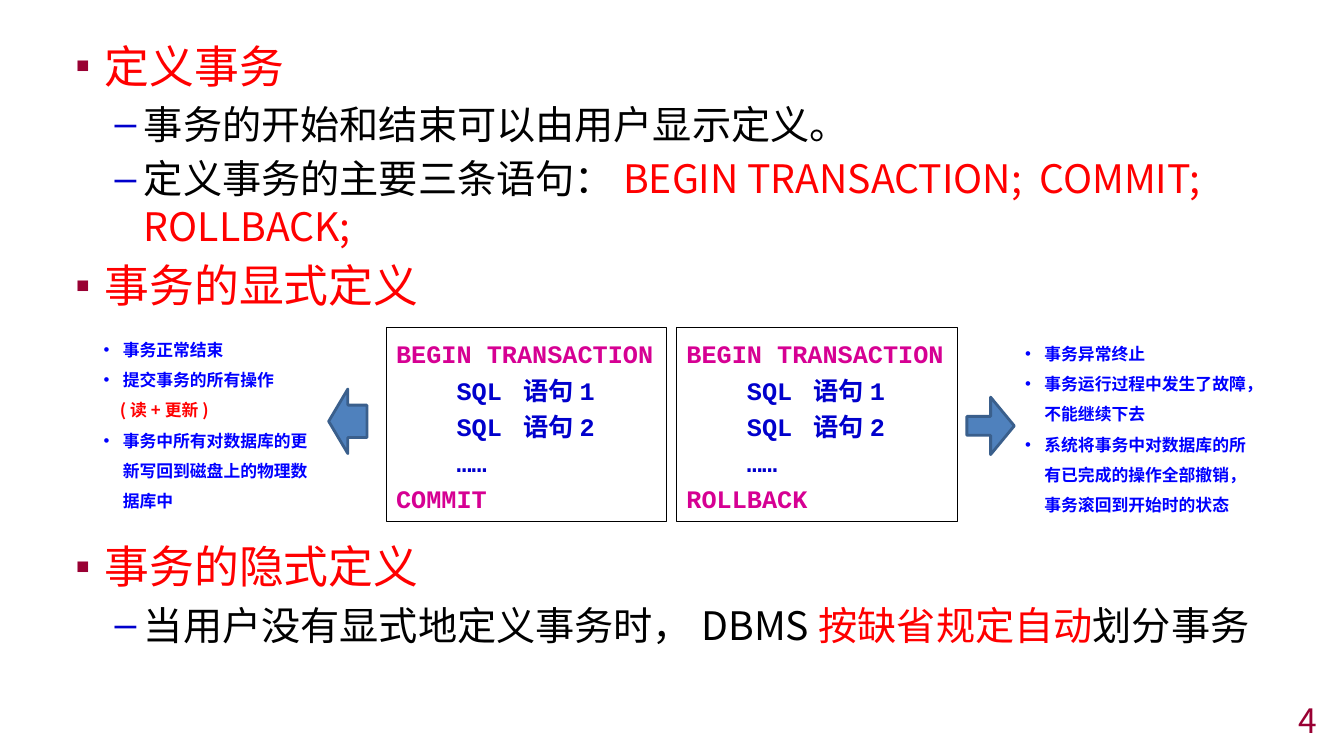
from lxml.etree import SubElement
from pptx import Presentation
from pptx.dml.color import RGBColor
from pptx.enum.shapes import MSO_SHAPE as Shape
from pptx.enum.text import MSO_ANCHOR as Anchor, PP_ALIGN as Align
from pptx.oxml.ns import qn
from pptx.util import Inches, Pt

SANS, MONO = "Noto Sans CJK SC", "Courier New"
RED, BLACK, BLUE, NAVY = "FF0000", "000000", "0000FF", "0000CC"
MAROON, MAGENTA = "990033", "D60093"


def rgb(value):
    return RGBColor.from_string(value)


class SlideBuilder:
    """Holds the fonts and the slide, and adds each kind of element."""

    def __init__(self, slide):
        self.slide = slide

    def text_box(self, left, top, width, height, anchor=Anchor.TOP):
        box = self.slide.shapes.add_textbox(
            Inches(left), Inches(top), Inches(width), Inches(height))
        box.text_frame.word_wrap = True
        box.text_frame.vertical_anchor = anchor
        return box.text_frame

    def paragraph(self, frame, runs, size, font=SANS, bold=False, bullet=None,
                  bullet_color=None, bullet_size=None, margin=0, hanging=0,
                  before=0, spacing=None, align=Align.LEFT):
        """Add one paragraph; runs is a list of (text, color)."""
        first = not frame.paragraphs[0].runs
        paragraph = frame.paragraphs[0] if first else frame.add_paragraph()
        paragraph.alignment = align
        if spacing:
            paragraph.line_spacing = spacing
        if before and not first:
            paragraph.space_before = Pt(before)

        properties = paragraph._p.get_or_add_pPr()
        properties.set("marL", str(Inches(margin)))
        properties.set("indent", str(-Inches(hanging)))
        if bullet:
            if bullet_color:
                color = SubElement(properties, qn("a:buClr"))
                SubElement(color, qn("a:srgbClr"), val=bullet_color)
            if bullet_size:
                SubElement(properties, qn("a:buSzPct"), val=str(bullet_size * 1000))
            SubElement(properties, qn("a:buFont"), typeface="Arial")
            SubElement(properties, qn("a:buChar"), char=bullet)

        paragraph.font.size = Pt(size)
        paragraph.font.name = font
        paragraph.font.bold = bold
        SubElement(properties.find(qn("a:defRPr")), qn("a:ea"), typeface=SANS)
        if len(runs) == 1:
            paragraph.font.color.rgb = rgb(runs[0][1])
        for text, color in runs:
            run = paragraph.add_run()
            run.text = text
            if len(runs) > 1:
                run.font.color.rgb = rgb(color)

    def heading(self, frame, text):
        self.paragraph(frame, [(text, RED)], 32, bullet="▪", bullet_color=MAROON,
                       bullet_size=95, margin=0.29, hanging=0.29, before=6.4)

    def point(self, frame, *runs):
        self.paragraph(frame, runs, 28, bullet="–", bullet_color=NAVY,
                       margin=0.68, hanging=0.29, before=5.6)

    def note(self, frame, text):
        self.paragraph(frame, [(text, BLUE)], 12, bold=True, bullet="•",
                       margin=0.19, hanging=0.19, spacing=1.5)

    def shape(self, kind, left, top, width, height, line, line_width, fill=None):
        shape = self.slide.shapes.add_shape(
            kind, Inches(left), Inches(top), Inches(width), Inches(height))
        shape.shadow.inherit = False
        if fill:
            shape.fill.solid()
            shape.fill.fore_color.rgb = rgb(fill)
        else:
            shape.fill.background()
        shape.line.color.rgb = rgb(line)
        shape.line.width = Pt(line_width)
        return shape

    def arrow(self, kind, left, top, width, height):
        return self.shape(kind, left, top, width, height, "3A5F8C", 2, "4F81BD")

    def code_box(self, left, last_statement):
        box = self.shape(Shape.RECTANGLE, left, 3.25, 2.78, 1.92, BLACK, 0.25)
        frame = box.text_frame
        frame.word_wrap = True
        frame.vertical_anchor = Anchor.TOP
        body = ["    SQL 语句1", "    SQL 语句2", "    ……"]
        for text in ["BEGIN TRANSACTION", *body, last_statement]:
            color = NAVY if text in body else MAGENTA
            self.paragraph(frame, [(text, color)], 18, MONO, True, spacing=1.2)


def main():
    presentation = Presentation()
    presentation.slide_width = Inches(13.33)
    presentation.slide_height = Inches(7.5)
    builder = SlideBuilder(
        presentation.slides.add_slide(presentation.slide_layouts[6]))

    # Definition of transactions
    definition = builder.text_box(0.65, 0.33, 12.27, 2.85)
    builder.heading(definition, "定义事务")
    builder.point(definition, ("事务的开始和结束可以由用户显示定义。", BLACK))
    builder.point(definition, ("定义事务的主要三条语句：", BLACK),
                  ("BEGIN TRANSACTION;  COMMIT;  ROLLBACK;", RED))
    builder.heading(definition, "事务的显式定义")

    # Implicit definition
    implicit = builder.text_box(0.65, 5.3, 12.27, 1.5)
    builder.heading(implicit, "事务的隐式定义")
    builder.point(implicit, ("当用户没有显式地定义事务时，DBMS", BLACK),
                  ("按缺省规定自动", RED), ("划分事务", BLACK))

    # Explicit transactions
    builder.code_box(3.83, "COMMIT")
    builder.code_box(6.71, "ROLLBACK")

    # Normal end
    commit = builder.text_box(0.93, 3.22, 2.34, 1.92)
    builder.note(commit, "事务正常结束")
    builder.note(commit, "提交事务的所有操作")
    builder.paragraph(commit, [("(读+更新)", RED)], 12, bold=True,
                      margin=0.16, spacing=1.5)
    builder.note(commit, "事务中所有对数据库的更新写回到磁盘上的物理数据库中")
    builder.arrow(Shape.LEFT_ARROW, 3.26, 3.86, 0.38, 0.64)

    # Abnormal end
    rollback = builder.text_box(10.07, 3.26, 2.42, 1.92)
    builder.note(rollback, "事务异常终止")
    builder.note(rollback, "事务运行过程中发生了故障，不能继续下去")
    builder.note(rollback, "系统将事务中对数据库的所有已完成的操作全部撤销，事务滚回到开始时的状态")
    arrow = builder.arrow(Shape.RIGHT_ARROW, 9.59, 3.94, 0.47, 0.57)
    arrow.adjustments[0] = 0.33

    # Slide number
    number = builder.text_box(10.33, 6.99, 2.83, 0.31, Anchor.MIDDLE)
    builder.paragraph(number, [("4", MAROON)], 24, align=Align.RIGHT)

    presentation.save("out.pptx")


if __name__ == "__main__":
    main()
